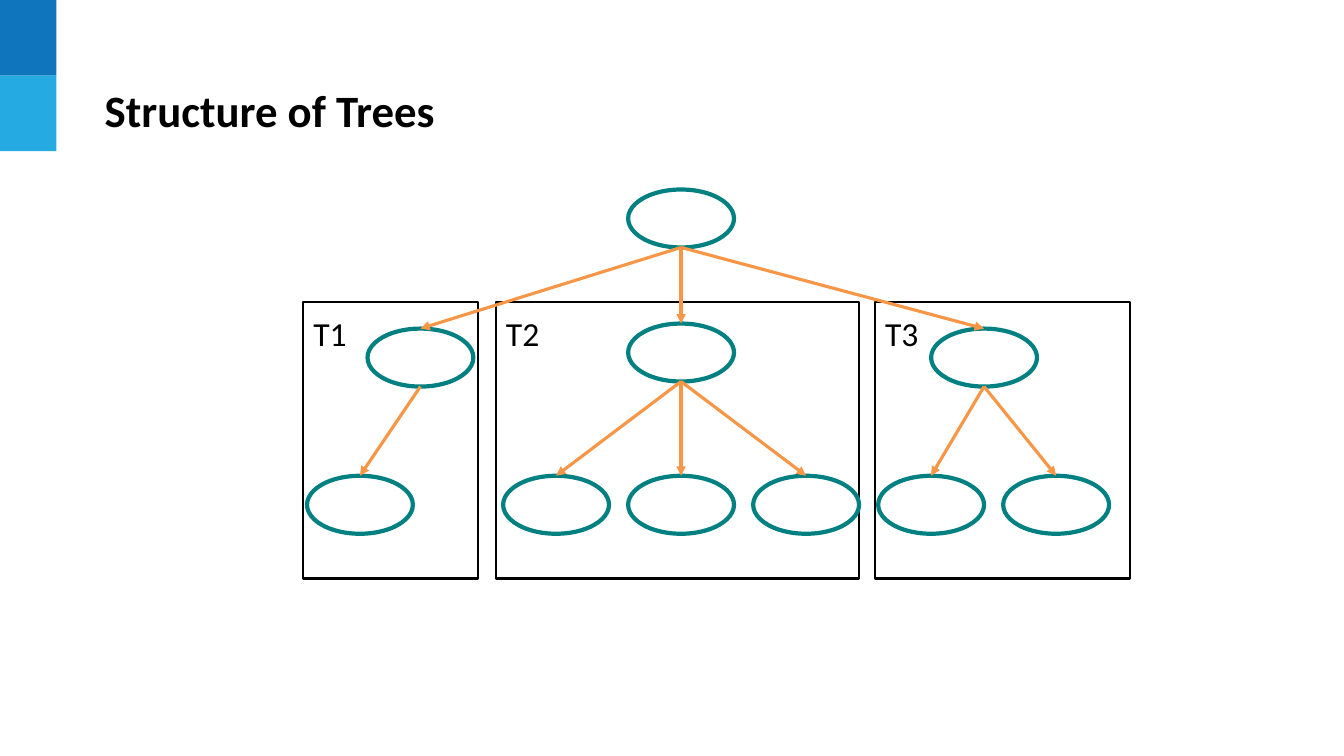
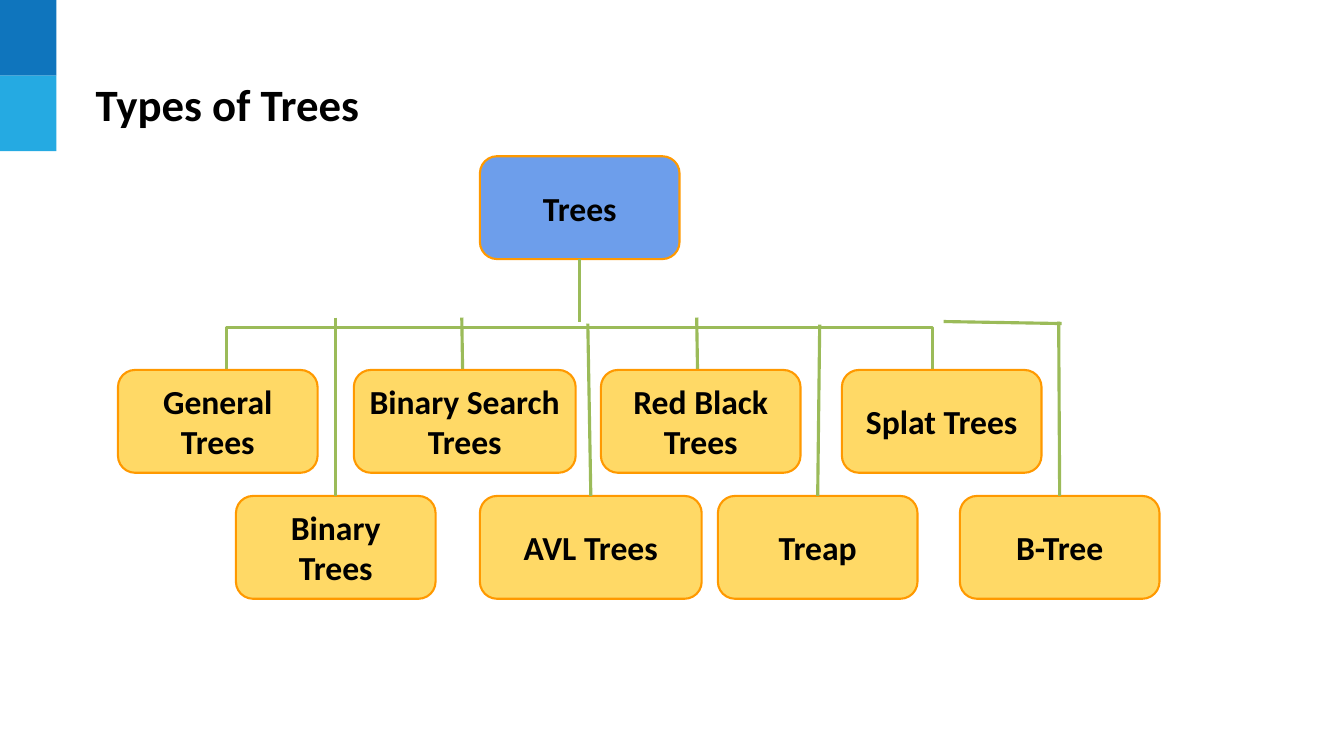
from dataclasses import dataclass
from typing import Optional

from lxml.etree import SubElement as Sub
from pptx import Presentation
from pptx.dml.color import RGBColor
from pptx.enum.shapes import MSO_CONNECTOR as Conn, MSO_SHAPE as Kind
from pptx.enum.text import MSO_ANCHOR as Anchor, PP_ALIGN as Align
from pptx.oxml.ns import qn
from pptx.util import Inches, Pt

# Grid: square cells, 30 rows to the slide's height
WIDE, HIGH = Inches(13.33), Inches(7.5)
CELL = HIGH / 30
FONT = "Calibri"
BLACK, WHITE = "000000", "FFFFFF"
NAVY, SKY = "0F75BD", "25AAE2"
TEAL, PEACH = "008080", "F79646"
BLUE, GOLD, AMBER, GREEN = "6D9EEB", "FFD966", "FF9900", "9BBB59"


@dataclass
class Node:
    mid: float
    top: float
    kids: tuple["Node", ...] = ()


@dataclass
class Zone:
    name: str
    left: float
    wide: float


@dataclass
class Card:
    name: str
    left: float
    top: float
    wide: float = 7.92
    fill: str = GOLD
    stem: Optional[tuple[float, float]] = None  # start of the joined line


def cells(*nums: float) -> list[int]:
    return [round(n * CELL) for n in nums]


def hue(code: str) -> RGBColor:
    return RGBColor.from_string(code)


# Shared drawing
def paint(shape, fill: Optional[str], line: Optional[str] = None, size: float = 0) -> None:
    shape.shadow.inherit = False
    if fill:
        shape.fill.solid()
        shape.fill.fore_color.rgb = hue(fill)
    else:
        shape.fill.background()
    if line:
        shape.line.color.rgb = hue(line)
        shape.line.width = Pt(size)
    else:
        shape.line.fill.background()


def write(shape, text: str, size: int, bold: bool, anchor: Anchor,
          align: Align = Align.LEFT, pad: float = 0.4) -> None:
    frame = shape.text_frame
    frame.word_wrap = True
    frame.vertical_anchor = anchor
    frame.margin_left, frame.margin_right, frame.margin_top, frame.margin_bottom = cells(
        0.4, 0.4, pad, pad)
    para = frame.paragraphs[0]
    para.text = text
    para.alignment = align
    font = para.runs[0].font
    font.name, font.size, font.bold = FONT, Pt(size), bold
    font.color.rgb = hue(BLACK)


def link(slide, x1: float, y1: float, x2: float, y2: float, color: str, arrow: bool = False):
    line = slide.shapes.add_connector(Conn.STRAIGHT, *cells(x1, y1, x2, y2))
    line.line.color.rgb = hue(color)
    line.line.width = Pt(2.25)
    if arrow:
        Sub(line.line._get_or_add_ln(), qn("a:tailEnd"), type="triangle")
    Sub(line._element.spPr, qn("a:effectLst"))
    return line


def start(prs, title: str, left: float, top: float):
    slide = prs.slides.add_slide(prs.slide_layouts[6])
    for row, color in enumerate((NAVY, SKY)):
        band = slide.shapes.add_shape(Kind.RECTANGLE, *cells(0, 3 * row, 2.24, 3))
        paint(band, color)
    head = slide.shapes.add_textbox(*cells(left, top, 35, 3.6))
    write(head, title, 32, True, Anchor.MIDDLE, pad=0.2)
    return slide


# Slide 1: nested subtrees
OVAL_W, OVAL_H = 4.2, 2.3
MID, STEP, LEAF = 27.02, 4.96, 18.88
ZONES = (Zone("T1", 12.04, 6.92), Zone("T2", 19.68, 14.4), Zone("T3", 34.72, 10.12))


def leaves(*steps: int) -> tuple[Node, ...]:
    return tuple(Node(MID + STEP * n, LEAF) for n in steps)


ROOT = Node(MID, 7.52, (
    Node(16.68, 13.04, (Node(14.28, LEAF),)),
    Node(MID, 12.84, leaves(-1, 0, 1)),
    Node(39.04, 13.04, leaves(2, 3)),
))


def grow(slide, node: Node):
    oval = slide.shapes.add_shape(
        Kind.OVAL, *cells(node.mid - OVAL_W / 2, node.top, OVAL_W, OVAL_H))
    paint(oval, None, TEAL, 3)
    for kid in node.kids:
        end = grow(slide, kid)
        line = link(slide, node.mid, node.top + OVAL_H, kid.mid, kid.top, PEACH, True)
        line.end_connect(end, 0)
    return oval


def nested(prs) -> None:
    slide = start(prs, "Structure of Trees", 3.76, 2.56)
    for zone in ZONES:
        box = slide.shapes.add_shape(Kind.RECTANGLE, *cells(zone.left, 12, zone.wide, 10.96))
        paint(box, WHITE, BLACK, 1.5)
        write(box, zone.name, 24, False, Anchor.TOP)
    grow(slide, ROOT)


# Slide 2: kinds of tree below one rail
CARD_H, UPPER, LOWER, RAIL = 4.08, 14.68, 19.68, 12.76
TRUNK = Card("Trees", 19.04, 6.2, fill=BLUE)
CARDS = (
    Card("General Trees", 4.68, UPPER),
    Card("Binary Search Trees", 14.04, UPPER, 8.8),
    Card("Red Black Trees", 23.84, UPPER),
    Card("Splat Trees", 33.4, UPPER),
    Card("Binary Trees", 9.36, LOWER, stem=(13.32, 12.6)),
    Card("AVL Trees", 19.04, LOWER, 8.8, stem=(23.32, 12.84)),
    Card("Treap", 28.48, LOWER, stem=(32.52, 12.88)),
    Card("B-Tree", 38.08, LOWER, stem=(42, RAIL)),
)


def place(slide, card: Card):
    box = slide.shapes.add_shape(
        Kind.ROUNDED_RECTANGLE, *cells(card.left, card.top, card.wide, CARD_H))
    paint(box, card.fill, AMBER, 1.5)
    write(box, card.name, 24, True, Anchor.MIDDLE, Align.CENTER)
    return box


def kinds(prs) -> None:
    slide = start(prs, "Types of Trees", 3.4, 2.32)
    # Rail, its end and the short drops behind the cards
    path = slide.shapes.build_freeform(8.68, UPPER, scale=CELL)
    path.add_line_segments([(8.6, RAIL), (37.44, RAIL), (37.44, UPPER)], close=False)
    paint(path.convert_to_shape(), None, GREEN, 2.25)
    link(slide, 37.44, RAIL, 42.12, 12.84, GREEN)
    for x in (18.32, 27.64):
        link(slide, x, 12.6, x + 0.04, 15.08, GREEN)
    # Cards and the lines joined to them
    trunk = place(slide, TRUNK)
    mid = TRUNK.left + TRUNK.wide / 2
    link(slide, mid, TRUNK.top + CARD_H, mid, RAIL, GREEN).begin_connect(trunk, 2)
    for card in CARDS:
        box = place(slide, card)
        if card.stem:
            line = link(slide, *card.stem, card.left + card.wide / 2, card.top, GREEN)
            line.end_connect(box, 0)


def main() -> None:
    prs = Presentation()
    prs.slide_width, prs.slide_height = WIDE, HIGH
    nested(prs)
    kinds(prs)
    prs.save("out.pptx")


if __name__ == "__main__":
    main()
